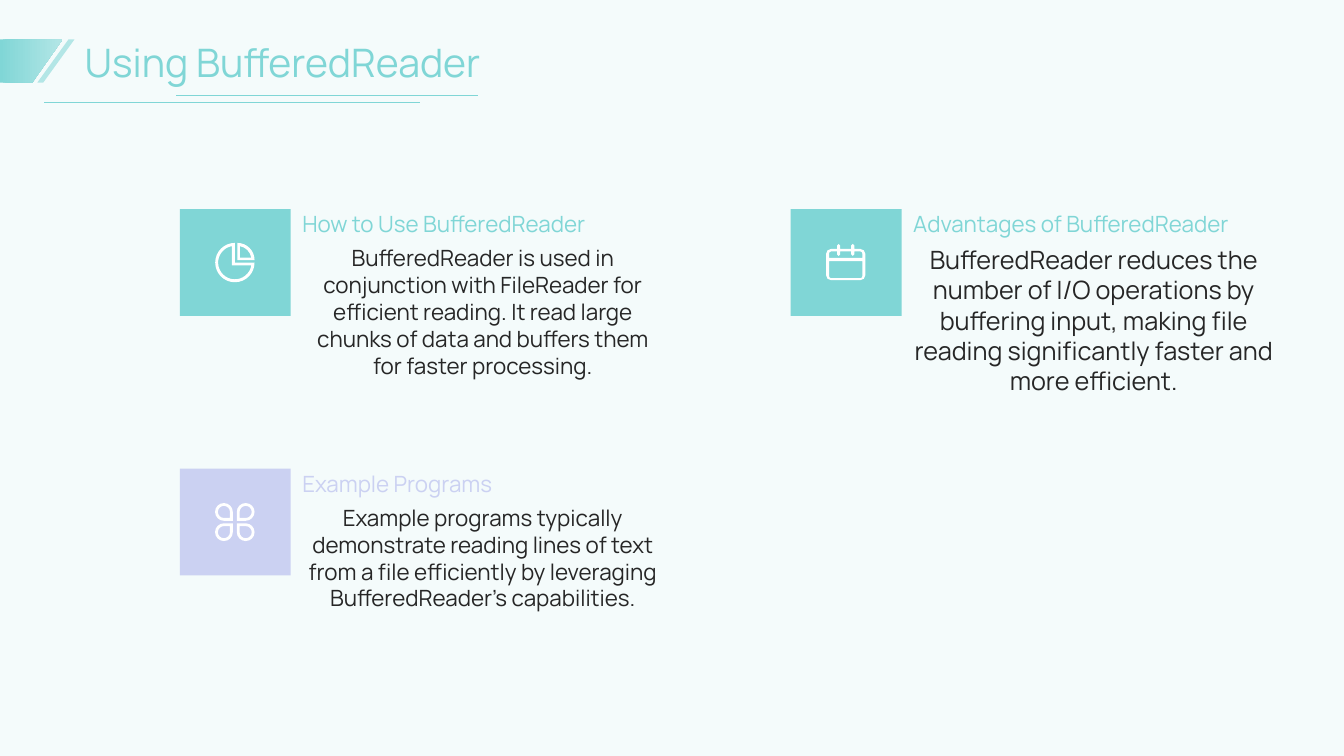
from dataclasses import dataclass
from math import ceil, cos, radians, sin, sqrt, tan
from typing import Callable, NamedTuple

from lxml.etree import SubElement
from pptx import Presentation
from pptx.dml.color import RGBColor
from pptx.enum.shapes import MSO_CONNECTOR, MSO_SHAPE
from pptx.enum.text import MSO_ANCHOR, PP_ALIGN
from pptx.oxml.ns import qn
from pptx.shapes.autoshape import Shape
from pptx.slide import Slide
from pptx.util import Inches, Pt

# All lengths are cells of a fine grid laid over the slide.
COLUMNS, ROWS = 1333.33, 750
CELL = Inches(0.01)

TEAL, PALE_TEAL, LAVENDER = "80D6D6", "B3E6E6", "CBD1F2"
MIST, INK, WHITE = "E6F7F7", "262626", "FFFFFF"
FONT = "Manrope"

CARD_LEFT, CARD_TOP = 178.5, 207.5
CARD_COLUMN_STEP, CARD_ROW_STEP = 606, 257.5
TILE_WIDTH, TILE_HEIGHT = 110, 106
TEXT_OFFSET, TEXT_WIDTH = 121.5, 358
ICON_OFFSET = 35


class Point(NamedTuple):
    x: float
    y: float
    curved: bool = False


Contour = list[Point]


@dataclass(frozen=True)
class Card:
    column: int
    row: int
    colour: str
    heading: str
    body: str
    body_size: int
    icon: Callable[[], list[Contour]]
    icon_top: float


@dataclass(frozen=True)
class Rule:
    left: int
    right: int
    row: float


def cells(count: float) -> int:
    return round(count * CELL)


def colour(code: str) -> RGBColor:
    return RGBColor.from_string(code)


def arc(x: float, y: float, radius: float, start: int, end: int) -> Contour:
    """Start point, then three Bezier points per piece; angles run clockwise from the right."""
    pieces = ceil(abs(end - start) / 90)
    turn = radians(end - start) / pieces
    reach = 4 / 3 * tan(turn / 4)
    points = [Point(x + radius * cos(radians(start)), y + radius * sin(radians(start)))]
    for piece in range(pieces):
        a = radians(start) + piece * turn
        b = a + turn
        for across, down in ((cos(a) - reach * sin(a), sin(a) + reach * cos(a)),
                             (cos(b) + reach * sin(b), sin(b) - reach * cos(b)),
                             (cos(b), sin(b))):
            points.append(Point(x + radius * across, y + radius * down, True))
    return points


def pie_icon() -> list[Contour]:
    return [
        arc(22, 17, 17, 270, 360) + [Point(22, 17)],
        arc(22, 17, 14, 280, 350) + [Point(24.5, 14.5)],
        arc(19.5, 19.5, 19.5, 0, 270) + [Point(19.5, 19.5)],
        arc(19.5, 19.5, 16.6, 10, 260) + [Point(16.6, 22.4)],
    ]


def clover_icon() -> list[Contour]:
    contours = []
    for turn, (x, y) in enumerate([(8.7, 8.9), (30.3, 8.9), (30.3, 29), (8.7, 29)]):
        start = 90 * (turn + 1)
        corner = radians(45 + 90 * turn)
        for radius in (8.8, 6):
            reach = radius * sqrt(2)
            tip = Point(x + reach * cos(corner), y + reach * sin(corner))
            contours.append(arc(x, y, radius, start, start + 270) + [tip])
    return contours


def calendar_icon() -> list[Contour]:
    frame, header = arc(5, 10, 5, 180, 270), arc(5, 9.5, 2, 180, 270)
    for pin in (12.5, 26.5):
        left, right = pin - 1.5, pin + 1.5
        frame += [Point(left, 5), *arc(pin, 1.5, 1.5, 180, 360), Point(right, 5)]
        header += [Point(left, 7.5), *arc(pin, 10.5, 1.5, 180, 0), Point(right, 7.5)]
    frame += arc(34, 10, 5, 270, 360) + arc(34, 31, 5, 0, 90) + arc(5, 31, 5, 90, 180)
    header += arc(34, 9.5, 2, 270, 360) + [Point(36, 14), Point(3, 14)]
    sheet = [Point(3, 17), Point(36, 17)] + arc(34, 32, 2, 0, 90) + arc(5, 32, 2, 90, 180)
    return [frame, header, sheet]


CARDS = [
    Card(0, 0, TEAL, "How to Use BufferedReader",
         "BufferedReader is used in conjunction with FileReader for efficient reading. "
         "It read large chunks of data and buffers them for faster processing.",
         16, pie_icon, 33.5),
    Card(0, 1, LAVENDER, "Example Programs",
         "Example programs typically demonstrate reading lines of text from a file "
         "efficiently by leveraging BufferedReader's capabilities.",
         16, clover_icon, 34),
    Card(1, 0, TEAL, "Advantages of BufferedReader",
         "BufferedReader reduces the number of I/O operations by buffering input, "
         "making file reading significantly faster and more efficient.",
         18, calendar_icon, 34.5),
]
RULES = [Rule(44, 417, 101.4), Rule(175, 474, 95)]


def paint(shape: Shape, code: str) -> None:
    shape.shadow.inherit = False
    shape.fill.solid()
    shape.fill.fore_color.rgb = colour(code)
    shape.line.fill.background()


def add_block(page: Slide, kind: MSO_SHAPE, left: float, top: float,
              width: float, height: float, code: str) -> Shape:
    block = page.shapes.add_shape(kind, *map(cells, (left, top, width, height)))
    paint(block, code)
    return block


def add_outline(page: Slide, left: float, top: float, contours: list[Contour], code: str) -> Shape:
    """Draw closed contours as one shape; inner contours become holes."""
    builder = None
    for contour in contours:
        corners = [(cells(left + point.x), cells(top + point.y)) for point in contour]
        if builder is None:
            builder = page.shapes.build_freeform(*corners[0])
        else:
            builder.move_to(*corners[0])
        builder.add_line_segments(corners[1:], close=True)
    outline = builder.convert_to_shape()
    paint(outline, code)
    steps = list(outline.element.iter(qn("a:lnTo")))
    ends = [point for contour in contours for point in contour[1:]]
    bend([step for step, end in zip(steps, ends) if end.curved])
    return outline


def bend(steps: list) -> None:
    """Turn each run of three line steps into one cubic curve."""
    for first, second, third in zip(steps[::3], steps[1::3], steps[2::3]):
        first.tag = qn("a:cubicBezTo")
        for step in (second, third):
            first.append(step[0])
            step.getparent().remove(step)


def add_text(page: Slide, left: float, top: float, width: float, height: float, text: str,
             size: int, code: str, anchor: MSO_ANCHOR, align: PP_ALIGN = PP_ALIGN.LEFT) -> None:
    box = page.shapes.add_textbox(*map(cells, (left, top, width, height)))
    frame_format = {"word_wrap": True, "vertical_anchor": anchor, "margin_left": 0,
                    "margin_right": 0, "margin_top": 0, "margin_bottom": 0}
    for name, value in frame_format.items():
        setattr(box.text_frame, name, value)
    para = box.text_frame.paragraphs[0]
    para.alignment = align
    span = para.add_run()
    span.text = text
    for name, value in {"name": FONT, "size": Pt(size)}.items():
        setattr(span.font, name, value)
    span.font.color.rgb = colour(code)


def add_rule(page: Slide, rule: Rule) -> None:
    ends = map(cells, (rule.left, rule.row, rule.right, rule.row))
    line = page.shapes.add_connector(MSO_CONNECTOR.STRAIGHT, *ends)
    line.line.color.rgb = colour(TEAL)
    line.line.width = Pt(0.5)
    SubElement(line.element.spPr, qn("a:effectLst"))


def add_card(page: Slide, card: Card) -> None:
    left = CARD_LEFT + card.column * CARD_COLUMN_STEP
    top = CARD_TOP + card.row * CARD_ROW_STEP
    text_left = left + TEXT_OFFSET
    add_text(page, text_left, top + 35, TEXT_WIDTH, 143, card.body, card.body_size, INK,
             MSO_ANCHOR.TOP, PP_ALIGN.CENTER)
    add_text(page, text_left, top - 44, TEXT_WIDTH, 72, card.heading, 16, card.colour,
             MSO_ANCHOR.BOTTOM)
    add_block(page, MSO_SHAPE.RECTANGLE, left, top, TILE_WIDTH, TILE_HEIGHT, card.colour)
    add_outline(page, left + ICON_OFFSET, top + card.icon_top, card.icon(), WHITE)


def add_backdrop(page: Slide) -> None:
    backdrop = add_block(page, MSO_SHAPE.RECTANGLE, 0, 0, COLUMNS, ROWS, MIST)
    tint = backdrop.element.spPr.find(qn("a:solidFill")).find(qn("a:srgbClr"))
    SubElement(tint, qn("a:alpha"), val="43000")


def add_title(page: Slide) -> None:
    add_text(page, 84, 36, 1176, 51, "Using BufferedReader", 28, TEAL, MSO_ANCHOR.MIDDLE)
    stripe = add_block(page, MSO_SHAPE.PARALLELOGRAM, 37, 39, 37, 43, PALE_TEAL)
    stripe.adjustments[0] = 0.84
    corners = [Point(0, 0), Point(62, 0), Point(32, 43), Point(0, 43)]
    flag = add_outline(page, 0, 39, [corners], TEAL)
    flag.fill.gradient()
    flag.fill.gradient_angle = 0
    for stop, code in zip(flag.fill.gradient_stops, (TEAL, PALE_TEAL)):
        stop.color.rgb = colour(code)
    for rule in RULES:
        add_rule(page, rule)


def main() -> None:
    deck = Presentation()
    deck.slide_width, deck.slide_height = cells(COLUMNS), cells(ROWS)
    page = deck.slides.add_slide(deck.slide_layouts[6])
    add_backdrop(page)
    for card in CARDS:
        add_card(page, card)
    add_title(page)
    deck.save("out.pptx")


if __name__ == "__main__":
    main()
